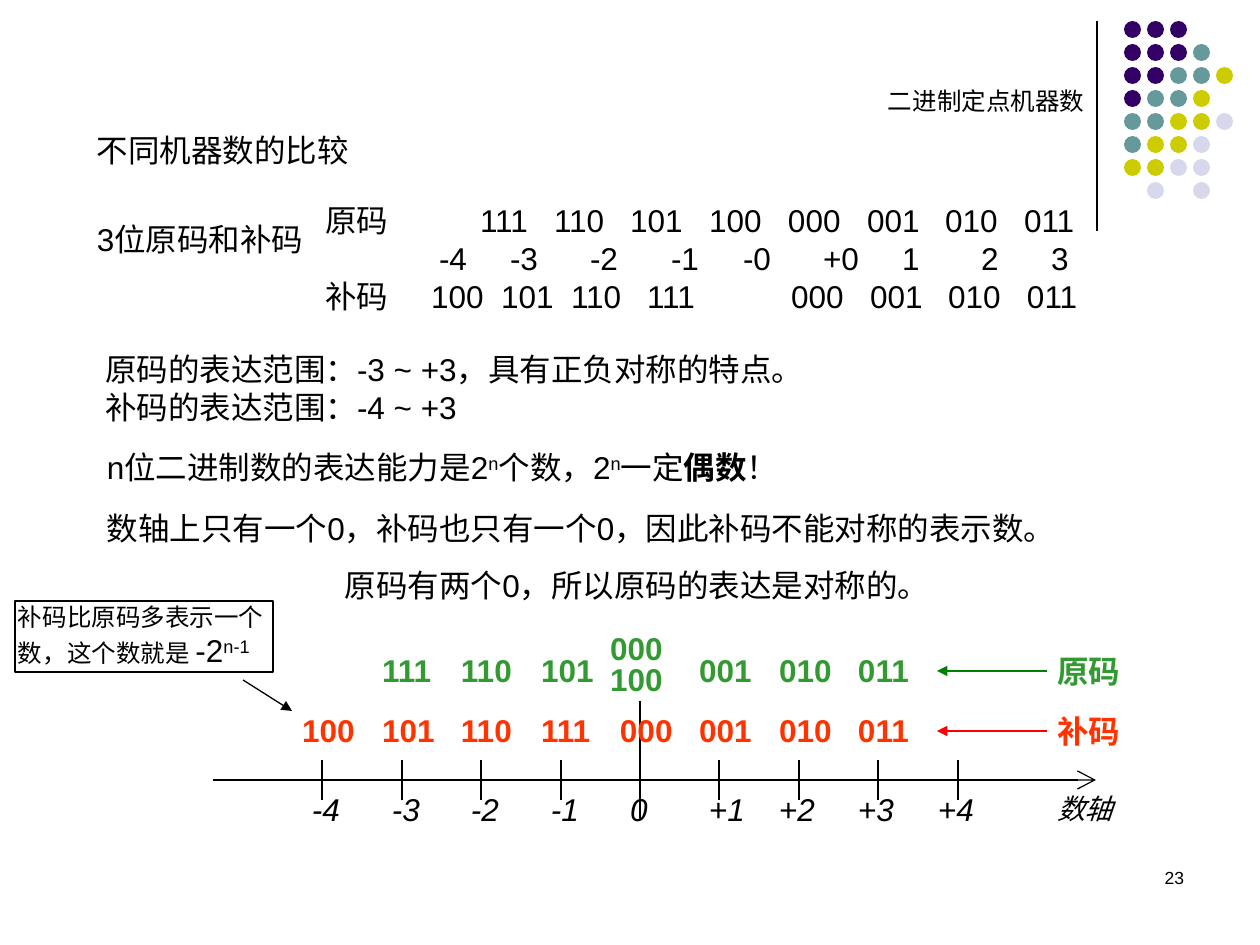
from dataclasses import dataclass
from typing import Optional

from lxml.etree import SubElement
from pptx import Presentation
from pptx.dml.color import RGBColor
from pptx.enum.shapes import MSO_CONNECTOR, MSO_SHAPE
from pptx.enum.text import MSO_ANCHOR, MSO_AUTO_SIZE, PP_ALIGN
from pptx.oxml.ns import qn
from pptx.util import Emu, Pt


@dataclass(frozen=True)
class Theme:
    font: str = "Arial"
    ink: str = "000000"
    sign_code: str = "339933"
    sign_arrow: str = "008000"
    complement: str = "FF3300"
    complement_arrow: str = "FF0000"
    dots: tuple = ("330066", "669999", "CCCC00", "D8D8EC")
    body: float = 18
    axis_name: float = 16
    note: float = 14
    page: float = 10
    gap: float = 11.2
    line: float = 0.75


@dataclass
class Run:
    text: str
    size: Optional[float] = None
    bold: Optional[bool] = None
    raised: bool = False


@dataclass
class Para:
    runs: list
    indent: int = 0
    tabs: tuple = ()


THEME = Theme()
EMU_PER_PX = 914400 / 126
ZERO_X, AXIS_Y, UNIT = 640, 780, 79.4
DOT_ROWS = ("000", "0001", "00112", "0112", "11223", "1223", "2233", " 3 3")
ROOMY = (13, 6)

CODE_ROWS = [
    Para([Run("原码\t111\t110\t101\t100\t000\t001\t010\t011")],
         tabs=(155, 229, 305, 384, 463, 542, 620, 699)),
    Para([Run("\t-4\t-3\t-2\t-1\t-0\t+0\t1\t2\t3")],
         tabs=(114, 185, 265, 346, 418, 498, 577, 656, 726)),
    Para([Run("补码\t100\t101\t110\t111\t000\t001\t010\t011")],
         tabs=(106, 176, 246, 322, 466, 545, 623, 702)),
]
CAPACITY = [Para([
    Run("n位二进制数的表达能力是2"), Run("n", raised=True),
    Run("个数，2"), Run("n", raised=True),
    Run("一定"), Run("偶数", bold=True), Run("！"),
])]
SYMMETRY = [
    Para([Run("数轴上只有一个0，补码也只有一个0，因此补码不能对称的表示数。")]),
    Para([Run("原码有两个0，所以原码的表达是对称的。")], indent=238),
]
EXTRA_NUMBER = [Para([
    Run("补码比原码多表示一个数，这个数就是 "),
    Run("-2", size=THEME.body), Run("n-1", size=THEME.body, raised=True),
])]


def px(length):
    return Emu(round(length * EMU_PER_PX))


def tick_x(value):
    return round(ZERO_X + UNIT * value)


def plain(*lines):
    return [Para([Run(line)]) for line in lines]


def write_text(shape, paragraphs, *, size=THEME.body, color=THEME.ink, bold=False,
               italic=False, align=PP_ALIGN.LEFT, gap=0, spacing=None,
               inset=(0, 0), grow=True):
    frame = shape.text_frame
    frame.word_wrap = True
    frame.vertical_anchor = MSO_ANCHOR.TOP
    frame.auto_size = MSO_AUTO_SIZE.SHAPE_TO_FIT_TEXT if grow else MSO_AUTO_SIZE.NONE
    frame.margin_left = frame.margin_right = px(inset[0])
    frame.margin_top = frame.margin_bottom = px(inset[1])
    for index, content in enumerate(paragraphs):
        paragraph = frame.add_paragraph() if index else frame.paragraphs[0]
        paragraph.alignment = align
        if spacing:
            paragraph.line_spacing = spacing
        if index and gap:
            paragraph.space_before = Pt(gap)
        properties = paragraph._p.get_or_add_pPr()
        if content.indent:
            properties.set("marL", str(px(content.indent)))
        if content.tabs:
            stops = SubElement(properties, qn("a:tabLst"))
            for stop in content.tabs:
                SubElement(stops, qn("a:tab"), pos=str(px(stop)), algn="l")
        for part in content.runs:
            run = paragraph.add_run()
            run.text = part.text
            run.font.name = THEME.font
            run.font.size = Pt(part.size or size)
            run.font.bold = bold if part.bold is None else part.bold
            run.font.italic = italic
            run.font.color.rgb = RGBColor.from_string(color)
            if part.raised:
                run._r.get_or_add_rPr().set("baseline", "30000")


def add_text(slide, left, top, width, height, paragraphs, **style):
    box = slide.shapes.add_textbox(px(left), px(top), px(width), px(height))
    write_text(box, paragraphs, **style)


def add_line(slide, start, end, color=THEME.ink, head=None, head_size="med"):
    line = slide.shapes.add_connector(
        MSO_CONNECTOR.STRAIGHT, *map(px, start), *map(px, end))
    line.line.color.rgb = RGBColor.from_string(color)
    line.line.width = Pt(THEME.line)
    if head:
        SubElement(line.line._get_or_add_ln(), qn("a:tailEnd"),
                   type=head, w=head_size, len=head_size)
    SubElement(line._element.spPr, qn("a:effectLst"))


def add_dots(slide):
    dots = slide.shapes.add_group_shape().shapes
    for row, colors in enumerate(DOT_ROWS):
        for column, color in enumerate(colors):
            if color == " ":
                continue
            dot = dots.add_shape(MSO_SHAPE.OVAL, px(1124 + 23 * column),
                                 px(21 + 23 * row), px(17), px(17))
            dot.shadow.inherit = False
            dot.fill.solid()
            dot.fill.fore_color.rgb = RGBColor.from_string(THEME.dots[int(color)])
            dot.line.fill.background()


def add_axis(slide):
    add_line(slide, (213, AXIS_Y), (1096, AXIS_Y), head="arrow", head_size="lg")
    for value in range(-4, 5):
        x = tick_x(value)
        top, bottom = (760, 800) if value else (701, 820)
        add_line(slide, (x, top), (x, bottom))
        label = f"{value:+d}" if value else "0"
        shift = 20 if value > 1 else 10
        add_text(slide, x - shift, 790, 40 if value else 20, 38,
                 plain(label), italic=True)
    add_text(slide, 1057, 791, 59, 34, plain("数轴"),
             size=THEME.axis_name, italic=True)


def add_codes(slide, name, top, codes, color, arrow_color):
    style = dict(color=color, bold=True)
    for value, code in codes.items():
        add_text(slide, tick_x(value) - 20, top, 59, 38, plain(code), **style)
    add_text(slide, 1057, top + 1, 69, 38, plain(name), **style)
    add_line(slide, (1047, top + 20), (937, top + 20), arrow_color, "triangle")


def add_note(slide):
    note = slide.shapes.add_shape(MSO_SHAPE.RECTANGLE, px(15), px(601), px(258), px(71))
    note.shadow.inherit = False
    note.fill.background()
    note.line.color.rgb = RGBColor.from_string(THEME.ink)
    note.line.width = Pt(THEME.line)
    write_text(note, EXTRA_NUMBER, size=THEME.note, inset=(3, 1))
    add_line(slide, (243, 680), (292, 711), head="triangle")


def main():
    deck = Presentation()
    deck.slide_width, deck.slide_height = px(1260), px(945)
    slide = deck.slides.add_slide(deck.slide_layouts[6])

    add_line(slide, (1097, 21), (1097, 231))
    add_dots(slide)
    add_text(slide, 888, 86, 228, 29, plain("二进制定点机器数"),
             size=THEME.note, align=PP_ALIGN.JUSTIFY)
    add_text(slide, 84, 125, 417, 50, plain("不同机器数的比较"), inset=ROOMY)
    add_text(slide, 84, 214, 268, 50, plain("3位原码和补码"), inset=ROOMY)
    add_text(slide, 312, 195, 814, 126, CODE_ROWS, inset=ROOMY)
    add_text(slide, 92, 344, 776, 88,
             plain("原码的表达范围：-3 ~ +3，具有正负对称的特点。",
                   "补码的表达范围：-4 ~ +3"), inset=ROOMY)
    add_text(slide, 94, 442, 973, 50, CAPACITY, inset=ROOMY)
    add_text(slide, 94, 503, 1007, 108, SYMMETRY, gap=THEME.gap, inset=ROOMY)

    add_axis(slide)
    complement = dict(zip(range(-4, 4), (f"{n % 8:03b}" for n in range(-4, 4))))
    sign = {n: f"{abs(n) + 4 * (n < 0):03b}" for n in range(-3, 4) if n}
    add_codes(slide, "补码", 711, complement, THEME.complement, THEME.complement_arrow)
    add_codes(slide, "原码", 651, sign, THEME.sign_code, THEME.sign_arrow)
    add_text(slide, ZERO_X - 30, 651, 59, 43, plain("000", "100"),
             color=THEME.sign_code, bold=True, gap=THEME.gap, spacing=0.3)
    add_note(slide)
    add_text(slide, 903, 861, 294, 63, plain("23"), size=THEME.page,
             align=PP_ALIGN.RIGHT, inset=ROOMY, grow=False)
    deck.save("out.pptx")


if __name__ == "__main__":
    main()
